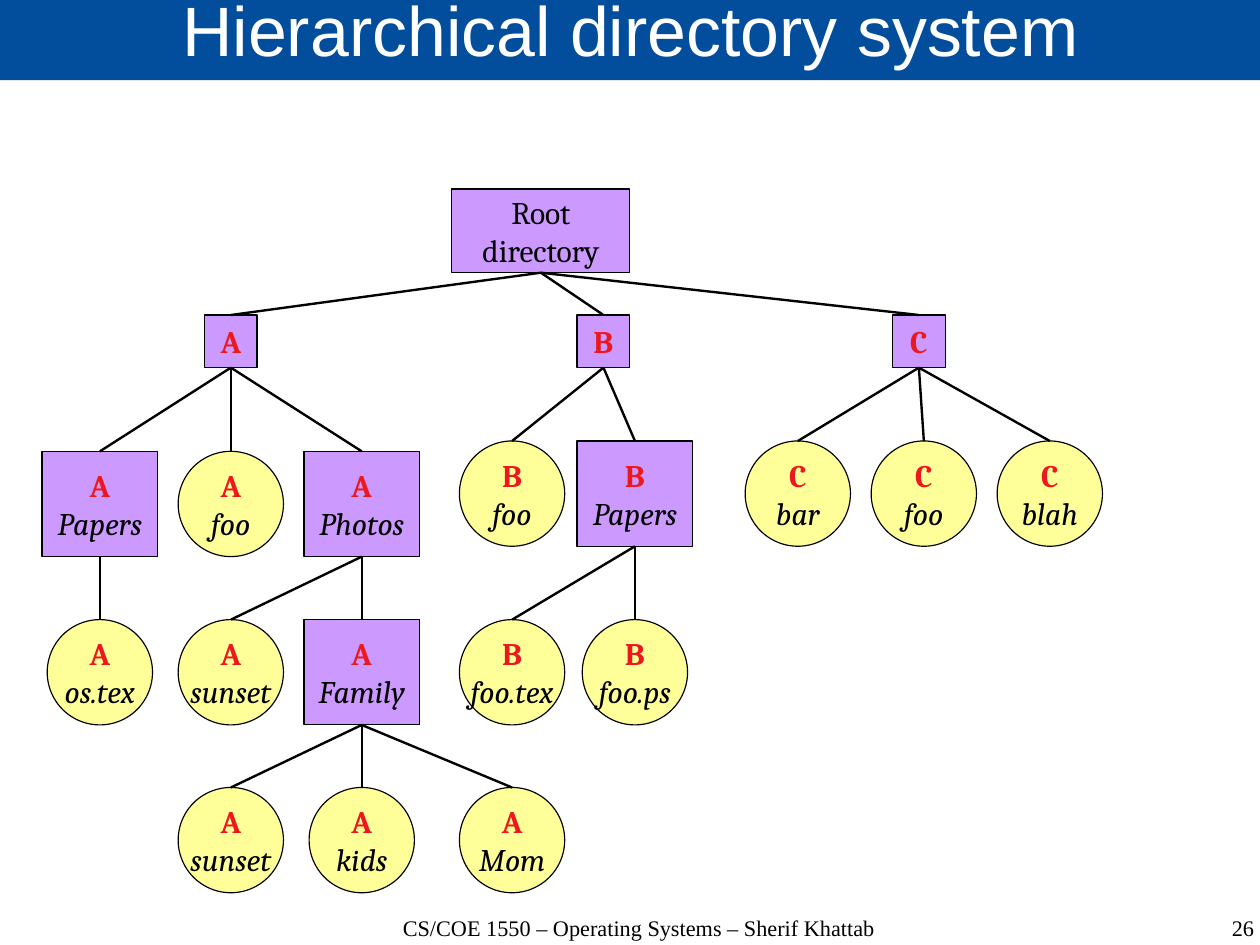
from lxml import etree
from pptx import Presentation
from pptx.dml.color import RGBColor
from pptx.enum.shapes import MSO_CONNECTOR, MSO_SHAPE
from pptx.enum.text import MSO_ANCHOR, MSO_AUTO_SIZE, PP_ALIGN
from pptx.oxml.ns import qn
from pptx.util import Cm, Pt

RECT, OVAL = MSO_SHAPE.RECTANGLE, MSO_SHAPE.OVAL
STRAIGHT = MSO_CONNECTOR.STRAIGHT
CENTER, RIGHT = PP_ALIGN.CENTER, PP_ALIGN.RIGHT
MIDDLE = MSO_ANCHOR.MIDDLE
NO_AUTOFIT = MSO_AUTO_SIZE.NONE
TOP, BOTTOM = 0, 2  # connection sites of a rectangle

# kind: (preset shape, width, height, fill), lengths in cm
KINDS = {
    "root": (RECT, 3.96, 1.86, "CC99FF"),
    "user": (RECT, 1.17, 1.17, "CC99FF"),
    "dir": (RECT, 2.57, 2.34, "CC99FF"),
    "file": (OVAL, 2.34, 2.34, "FFFF99"),
}

# node: (kind, owner, name, centre x, top y, children), lengths in cm
COL1, COL2, COL3, COL4, COL5 = 2.22, 5.13, 8.04, 11.38, 14.11
ROW_A, ROW_BC, ROW_3, ROW_4 = 10.03, 9.8, 13.77, 17.5
FAMILY = ("dir", "A", "Family", COL3, ROW_3, [
    ("file", "A", "sunset", COL2, ROW_4, []),
    ("file", "A", "kids", COL3, ROW_4, []),
    ("file", "A", "Mom", COL4, ROW_4, []),
])
USER_A = ("user", "A", "", COL2, 7, [
    ("dir", "A", "Papers", COL1, ROW_A, [
        ("file", "A", "os.tex", COL1, ROW_3, []),
    ]),
    ("file", "A", "foo", COL2, ROW_A, []),
    ("dir", "A", "Photos", COL3, ROW_A, [
        ("file", "A", "sunset", COL2, ROW_3, []),
        FAMILY,
    ]),
])
USER_B = ("user", "B", "", 13.41, 7, [
    ("file", "B", "foo", COL4, ROW_BC, []),
    ("dir", "B", "Papers", COL5, ROW_BC, [
        ("file", "B", "foo.tex", COL4, ROW_3, []),
        ("file", "B", "foo.ps", COL5, ROW_3, []),
    ]),
])
USER_C = ("user", "C", "", 20.42, 7, [
    ("file", "C", name, 17.73 + 2.8 * i, ROW_BC, [])
    for i, name in enumerate(("bar", "foo", "blah"))
])
ROOT = ("root", "", "Root\ndirectory", 12.02, 4.2, [USER_A, USER_B, USER_C])


def rgb(value):
    return RGBColor.from_string(value)


class TreeSlide:
    """Holds the slide and its style, and draws each kind of element."""

    black, white, red, blue = "000000", "FFFFFF", "ED181E", "024E9D"
    title_font, node_font, footer_font = "Arial", "Cambria", "Times New Roman"
    title_size, node_size, footer_size = 44, 19.8, 14

    def __init__(self, prs):
        self.slide = prs.slides.add_slide(prs.slide_layouts[5])
        self.shapes = self.slide.shapes

    def run(self, p, text, font, size, color, bold=False, italic=False):
        r = p.add_run()
        r.text = text
        r.font.name = font
        r.font.size = Pt(size)
        r.font.bold = bold
        r.font.italic = italic
        r.font.color.rgb = rgb(color)

    def clear_margins(self, tf):
        tf.margin_left = tf.margin_right = tf.margin_top = tf.margin_bottom = 0

    def title(self, text):
        sp = self.shapes.title
        sp.left, sp.top, sp.width, sp.height = Cm(0), Cm(-0.05), Cm(28.04), Cm(1.83)
        sp.fill.solid()
        sp.fill.fore_color.rgb = rgb(self.blue)
        tf = sp.text_frame
        self.clear_margins(tf)
        tf.auto_size = NO_AUTOFIT
        tf.vertical_anchor = MIDDLE
        p = tf.paragraphs[0]
        p.alignment = CENTER
        p.line_spacing = 0.69
        self.run(p, text, self.title_font, self.title_size, self.white)

    def footer(self, text, left, width, align):
        sp = self.shapes.add_textbox(Cm(left), Cm(20.35), Cm(width), Cm(1.4))
        tf = sp.text_frame
        self.clear_margins(tf)
        tf.word_wrap = True
        p = tf.paragraphs[0]
        p.alignment = align
        p.line_spacing = 0.96
        self.run(p, text, self.footer_font, self.footer_size, self.black)

    def node(self, kind, owner, name, x, y):
        preset, width, height, fill = KINDS[kind]
        sp = self.shapes.add_shape(
            preset, Cm(x - width / 2), Cm(y), Cm(width), Cm(height))
        sp.shadow.inherit = False
        sp.fill.solid()
        sp.fill.fore_color.rgb = rgb(fill)
        sp.line.color.rgb = rgb(self.black)
        sp.line.width = Pt(0.75)
        tf = sp.text_frame
        tf.word_wrap = False
        tf.vertical_anchor = MIDDLE
        lines = [(owner, self.red, True, False)] if owner else []
        lines += [(line, self.black, False, bool(owner)) for line in name.splitlines()]
        for i, (text, color, bold, italic) in enumerate(lines):
            p = tf.add_paragraph() if i else tf.paragraphs[0]
            p.alignment = CENTER
            self.run(p, text, self.node_font, self.node_size, color, bold, italic)
        return sp

    def branch(self, parent, child):
        cxn = self.shapes.add_connector(STRAIGHT, 0, 0, 0, 0)
        cxn.begin_connect(parent, BOTTOM)
        cxn.end_connect(child, TOP)
        cxn.line.color.rgb = rgb(self.black)
        cxn.line.width = Pt(1.5)
        etree.SubElement(cxn._element.spPr, qn("a:effectLst"))

    def tree(self, kind, owner, name, x, y, children):
        """Draw a node and everything below it; return the node's shape."""
        sp = self.node(kind, owner, name, x, y)
        for child in children:
            self.branch(sp, self.tree(*child))
        return sp


def main():
    prs = Presentation()
    prs.slide_width, prs.slide_height = Cm(28), Cm(21)
    slide = TreeSlide(prs)
    slide.title("Hierarchical directory system")
    slide.footer("CS/COE 1550 – Operating Systems – Sherif Khattab", 7.8, 12.8, CENTER)
    slide.footer("26", 21.44, 6.43, RIGHT)
    slide.tree(*ROOT)
    prs.save("out.pptx")


if __name__ == "__main__":
    main()
